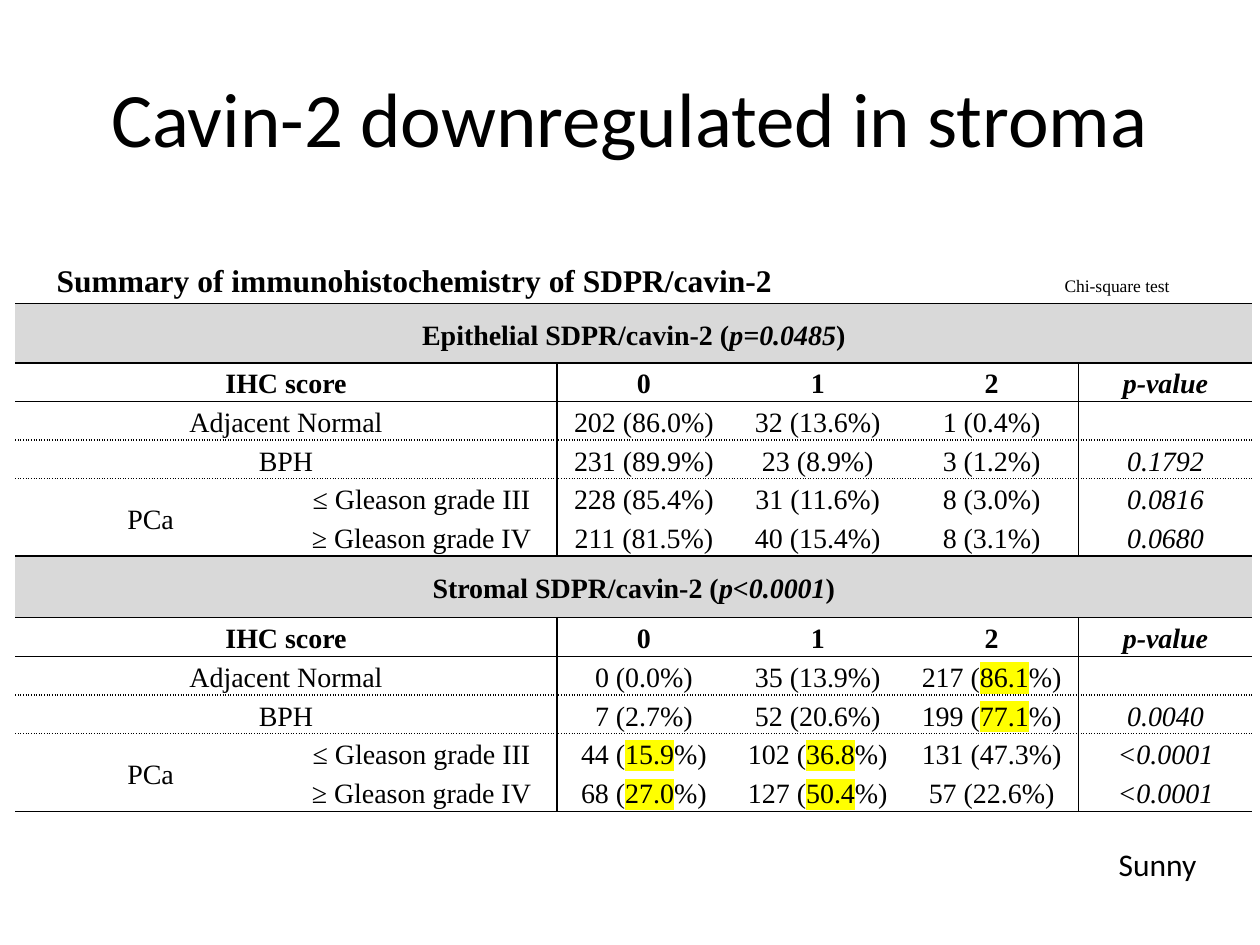
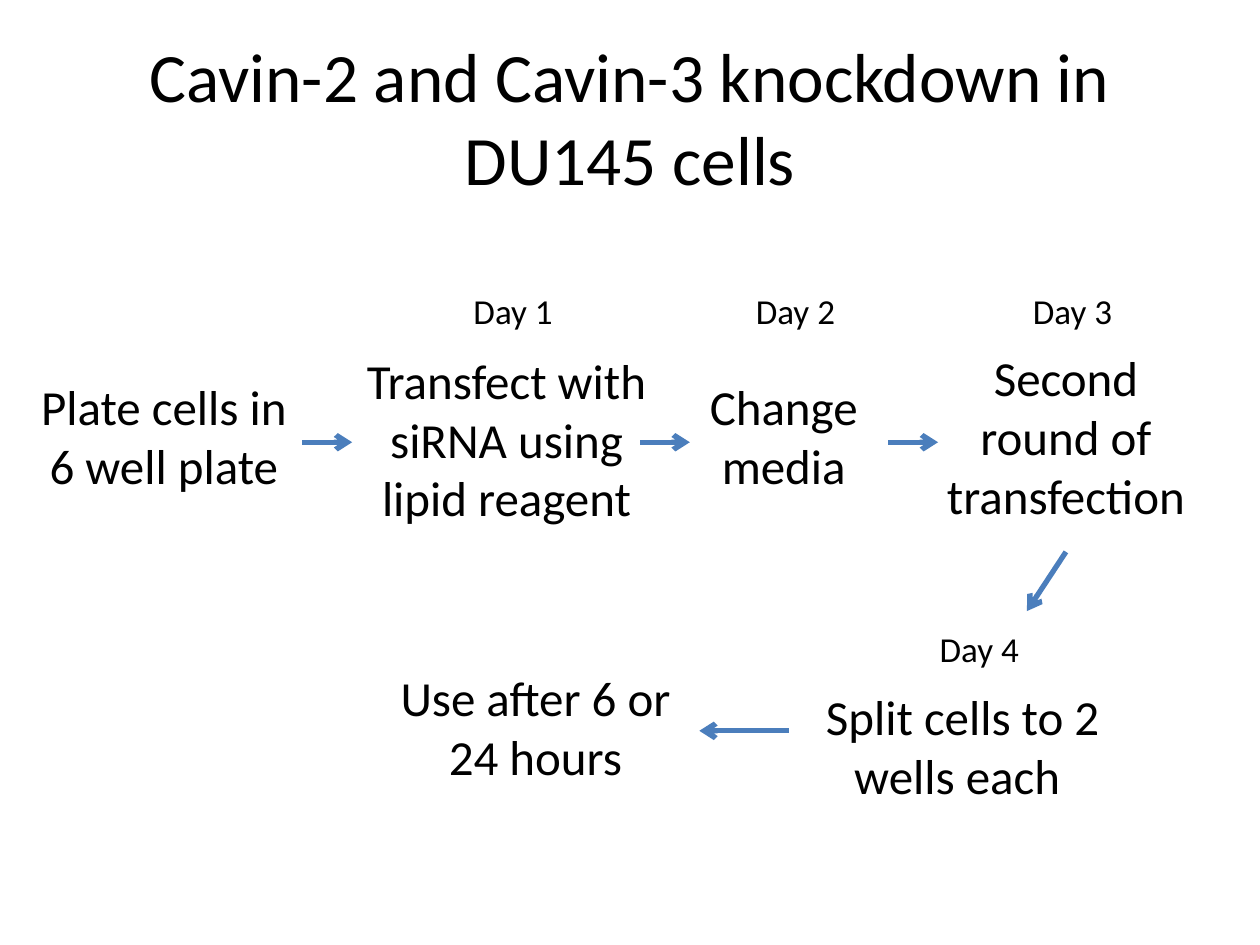
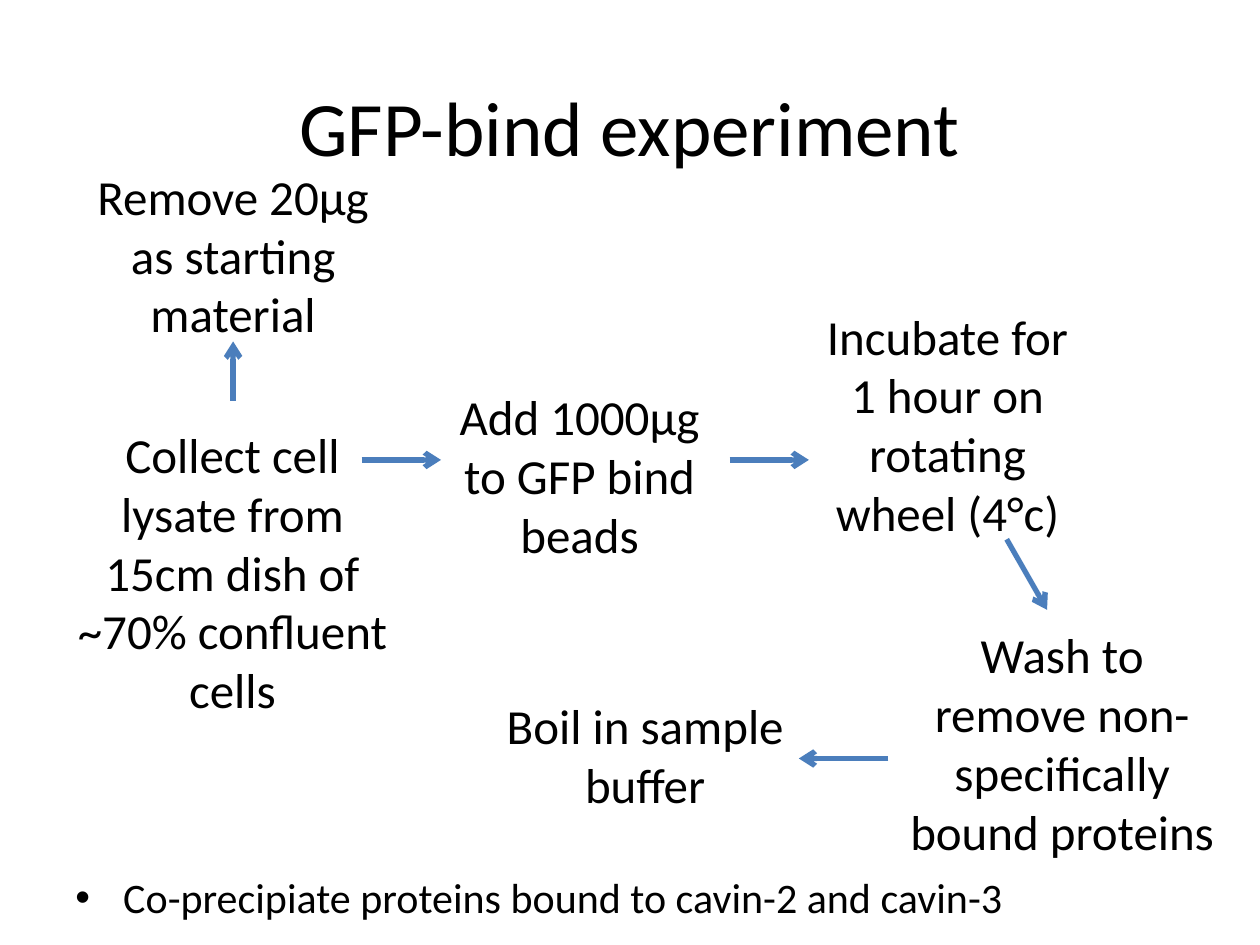
from lxml import etree
from pptx import Presentation
from pptx.dml.color import RGBColor
from pptx.enum.shapes import MSO_CONNECTOR
from pptx.enum.text import MSO_ANCHOR, PP_ALIGN
from pptx.oxml.ns import qn
from pptx.util import Inches, Pt

LEFT, CENTER = PP_ALIGN.LEFT, PP_ALIGN.CENTER
TOP, MIDDLE = MSO_ANCHOR.TOP, MSO_ANCHOR.MIDDLE
STRAIGHT = MSO_CONNECTOR.STRAIGHT
SANS, SERIF = "Calibri", "Times New Roman"
BLACK, BLUE, GREY, YELLOW = "000000", "4B7EBC", "D9D9D9", "FFFF00"
GRID_COLS, GRID_ROWS = 100, 75
SOLID, DOT = "solid", "sysDot"


def rgb(value):
    """Turn a hex string into a colour."""
    return RGBColor.from_string(value)


def child(parent, tag, **attrs):
    """Append a drawing element to a parent."""
    return etree.SubElement(parent, qn(tag), attrs)


def write(p, text, size=28, font=SANS, bold=False, italic=False, accent=None,
          align=LEFT, spacing=None):
    """Fill a paragraph; text between asterisks takes the accent, italic or a highlight."""
    p.alignment = align
    if spacing:
        p.line_spacing = spacing
    for i, part in enumerate(text.split("*")):
        marked = i % 2 == 1
        r = p.add_run()
        r.text = part
        r.font.size, r.font.name, r.font.bold = Pt(size), font, bold
        r.font.italic = italic or (marked and accent == "italic")
        r.font.color.rgb = rgb(BLACK)
        if marked and accent != "italic":
            mark = etree.Element(qn("a:highlight"))
            child(mark, "a:srgbClr", val=accent)
            r._r.rPr.find(qn("a:solidFill")).addnext(mark)


class Deck:
    """Holds the grid, the shared style and the current slide."""

    def __init__(self):
        """Open an empty presentation of 10 by 7.5 inches."""
        self.prs = Presentation()
        self.prs.slide_width, self.prs.slide_height = Inches(10), Inches(7.5)
        self.s = None

    def x(self, cols):
        """Convert grid columns to a length."""
        return round(self.prs.slide_width * cols / GRID_COLS)

    def y(self, rows):
        """Convert grid rows to a length."""
        return round(self.prs.slide_height * rows / GRID_ROWS)

    def slide(self, title, size=44, top=3):
        """Add a blank slide with a centred title."""
        self.s = self.prs.slides.add_slide(self.prs.slide_layouts[6])
        self.text(title, 5, top, 90, 12.5, anchor=MIDDLE, size=size, align=CENTER)

    def text(self, text, left, top, width, height, wrap=True, anchor=TOP, **fmt):
        """Add a text box and return its paragraph."""
        sp = self.s.shapes.add_textbox(self.x(left), self.y(top), self.x(width), self.y(height))
        tf = sp.text_frame
        tf.word_wrap, tf.vertical_anchor = wrap, anchor
        p = tf.paragraphs[0]
        write(p, text, **fmt)
        return p

    def steps(self, *steps):
        """Add the centred steps of a procedure."""
        for step in steps:
            self.text(*step, align=CENTER)

    def arrows(self, *ends):
        """Add arrows given as x1, y1, x2, y2."""
        for x1, y1, x2, y2 in ends:
            sp = self.s.shapes.add_connector(STRAIGHT, self.x(x1), self.y(y1), self.x(x2), self.y(y2))
            sp.line.color.rgb, sp.line.width = rgb(BLUE), Pt(3)
            child(sp.line._get_or_add_ln(), "a:tailEnd", type="arrow")
            child(sp._element.spPr, "a:effectLst")

    def bullet(self, text, left, top, width, height, indent, **fmt):
        """Add a bulleted line with a hanging indent."""
        p = self.text(text, left, top, width, height, **fmt)
        pPr = p._p.get_or_add_pPr()
        pPr.set("marL", str(self.x(indent)))
        pPr.set("indent", str(-self.x(indent)))
        child(pPr, "a:buFont", typeface="Arial")
        child(pPr, "a:buChar", char="•")

    def borders(self, cell, *dashes):
        """Set the left, right, top and bottom borders of a cell."""
        tcPr = cell._tc.get_or_add_tcPr()
        for i, (side, dash) in enumerate(zip("LRTB", dashes)):
            ln = etree.Element(qn(f"a:ln{side}"), w=str(Pt(1)))
            if dash:
                child(child(ln, "a:solidFill"), "a:srgbClr", val=BLACK)
                child(ln, "a:prstDash", val=dash)
            else:
                child(ln, "a:noFill")
            tcPr.insert(i, ln)

    def score_table(self, left, top, cols, heights, sections):
        """Add the table of scores, six rows to a section."""
        tb = self.s.shapes.add_table(len(heights), len(cols), self.x(left), self.y(top),
                                     self.x(sum(cols)), self.y(sum(heights))).table
        tb.first_row = tb.horz_banding = False
        for col, width in zip(tb.columns, cols):
            col.width = self.x(width)
        for row, height in zip(tb.rows, heights):
            row.height = self.y(height)
        bottoms = [SOLID, SOLID, DOT, DOT, None, SOLID]
        for n, (band, values) in enumerate(sections):
            first = n * len(bottoms)
            rows = [[band], HEADER] + [label + v for label, v in zip(LABELS, values)]
            for i, row in enumerate(rows):
                for j in range(len(cols)):
                    cell = tb.cell(first + i, j)
                    text = row[j] if j < len(row) else ""
                    self.score_cell(cell, text, i, j)
                    self.borders(cell, SOLID if i and j in (2, 5) else None,
                                 SOLID if i and j in (1, 4) else None,
                                 bottoms[i - 1],
                                 SOLID if (i, j) == (4, 0) else bottoms[i])
            tb.cell(first, 0).merge(tb.cell(first, len(cols) - 1))
            for i in range(first + 1, first + 4):
                tb.cell(i, 0).merge(tb.cell(i, 1))
            tb.cell(first + 4, 0).merge(tb.cell(first + 5, 0))

    def score_cell(self, cell, text, i, j):
        """Fill one cell by its place in the section."""
        cell.margin_left = cell.margin_right = self.x(0.7)
        cell.margin_top = cell.margin_bottom = 0
        cell.vertical_anchor = MIDDLE
        if i == 0:
            cell.fill.solid()
            cell.fill.fore_color.rgb = rgb(GREY)
        else:
            cell.fill.background()
        if text:
            write(cell.text_frame.paragraphs[0], text, size=16, font=SERIF, bold=i < 2,
                  italic=j == 5, accent=YELLOW if i else "italic",
                  align=CENTER, spacing=1.15)


HEADER = ["IHC score", "", "0", "1", "2", "p-value"]
LABELS = [["Adjacent Normal", ""], ["BPH", ""],
          ["PCa", "≤ Gleason grade III"], ["", "≥ Gleason grade IV"]]
SECTIONS = [
    ("Epithelial SDPR/cavin-2 (*p=0.0485*)", [
        ["202 (86.0%)", "32 (13.6%)", "1 (0.4%)", ""],
        ["231 (89.9%)", "23 (8.9%)", "3 (1.2%)", "0.1792"],
        ["228 (85.4%)", "31 (11.6%)", "8 (3.0%)", "0.0816"],
        ["211 (81.5%)", "40 (15.4%)", "8 (3.1%)", "0.0680"]]),
    ("Stromal SDPR/cavin-2 (*p<0.0001*)", [
        ["0 (0.0%)", "35 (13.9%)", "217 (*86.1*%)", ""],
        ["7 (2.7%)", "52 (20.6%)", "199 (*77.1*%)", "0.0040"],
        ["44 (*15.9*%)", "102 (*36.8*%)", "131 (47.3%)", "<0.0001"],
        ["68 (*27.0*%)", "127 (*50.4*%)", "57 (22.6%)", "<0.0001"]]),
]


def stroma(d):
    """Build the slide of scores."""
    d.slide("Cavin-2 downregulated in stroma")
    d.score_table(1.2, 24.1, [21.5] * 2 + [13.8] * 4,
                  [4.7, 2.8, 2.9, 2.9, 2.9, 3, 4.9, 2.9, 2.9, 2.9, 2.9, 3.1], SECTIONS)
    p = d.text("Summary of immunohistochemistry of SDPR/cavin-2", 3.5, 20.2, 92.1, 4,
               anchor=MIDDLE, size=18, font=SERIF, bold=True)
    tabs = child(p._p.get_or_add_pPr(), "a:tabLst")
    child(tabs, "a:tab", pos=str(d.x(80)), algn="l")
    write(p, "\tChi-square test", size=10, font=SERIF)
    d.text("Sunny", 87.8, 66.6, 8.3, 4, wrap=False, size=18)


def knockdown(d):
    """Build the slide of the knockdown procedure."""
    d.slide("Cavin-2 and Cavin-3 knockdown in DU145 cells", size=39.6)
    days = [(36.6, 22.5), (59, 22.5), (81, 22.5), (73.6, 49.3)]
    for n, (left, top) in enumerate(days, 1):
        d.text(f"Day {n}", left, top, 8.3, 4.4, wrap=False, size=20)
    d.steps(("Plate cells in 6 well plate", 2, 29.4, 22, 10.4),
            ("Transfect with siRNA using lipid reagent", 28, 27.3, 24.4, 15.1),
            ("Change media", 54.7, 29.4, 15, 10.4),
            ("Second round of transfection", 73.6, 27.1, 22, 15.1),
            ("Split cells to 2 wells each ", 64.2, 54, 24.4, 10.4),
            ("Use after 6 or 24 hours", 30.3, 52.5, 24.4, 10.4))
    d.arrows(*[(x, 35.1, x + 3.95, 35.1) for x in (24, 50.8, 70.5)],
             (84.6, 43.8, 81.5, 48.5), (62.6, 58, 55.5, 58))


def pulldown(d):
    """Build the slide of the bead experiment."""
    d.slide("GFP-bind experiment", top=3.7)
    d.steps(("Remove 20μg as starting material", 5.1, 12.7, 26.8, 15.1),
            ("Collect cell lysate from 15cm dish of ~70% confluent cells", 4.3, 33.2, 28.3, 24.6),
            ("Add 1000μg to GFP bind beads", 35, 30.2, 22, 15.1),
            ("Incubate for 1 hour on rotating wheel (4°c)", 64.2, 23.8, 22, 19.9),
            ("Wash to remove non-specifically bound proteins", 70.5, 49.1, 27.6, 19.9),
            ("Boil in sample buffer", 39, 54.7, 24.4, 10.4))
    d.arrows((18.5, 31.8, 18.5, 27.1), (28.7, 36.5, 35, 36.5), (57.9, 36.5, 64.2, 36.5),
             (79.9, 42.8, 83.1, 48.4), (70.5, 60.2, 63.4, 60.2))
    d.bullet("Co-precipiate proteins bound to cavin-2 and cavin-3", 5, 68.7, 90, 5.8, 3.8, size=24)


def main():
    """Build and save the slides."""
    d = Deck()
    for build in (stroma, knockdown, pulldown):
        build(d)
    d.prs.save("out.pptx")


if __name__ == "__main__":
    main()
